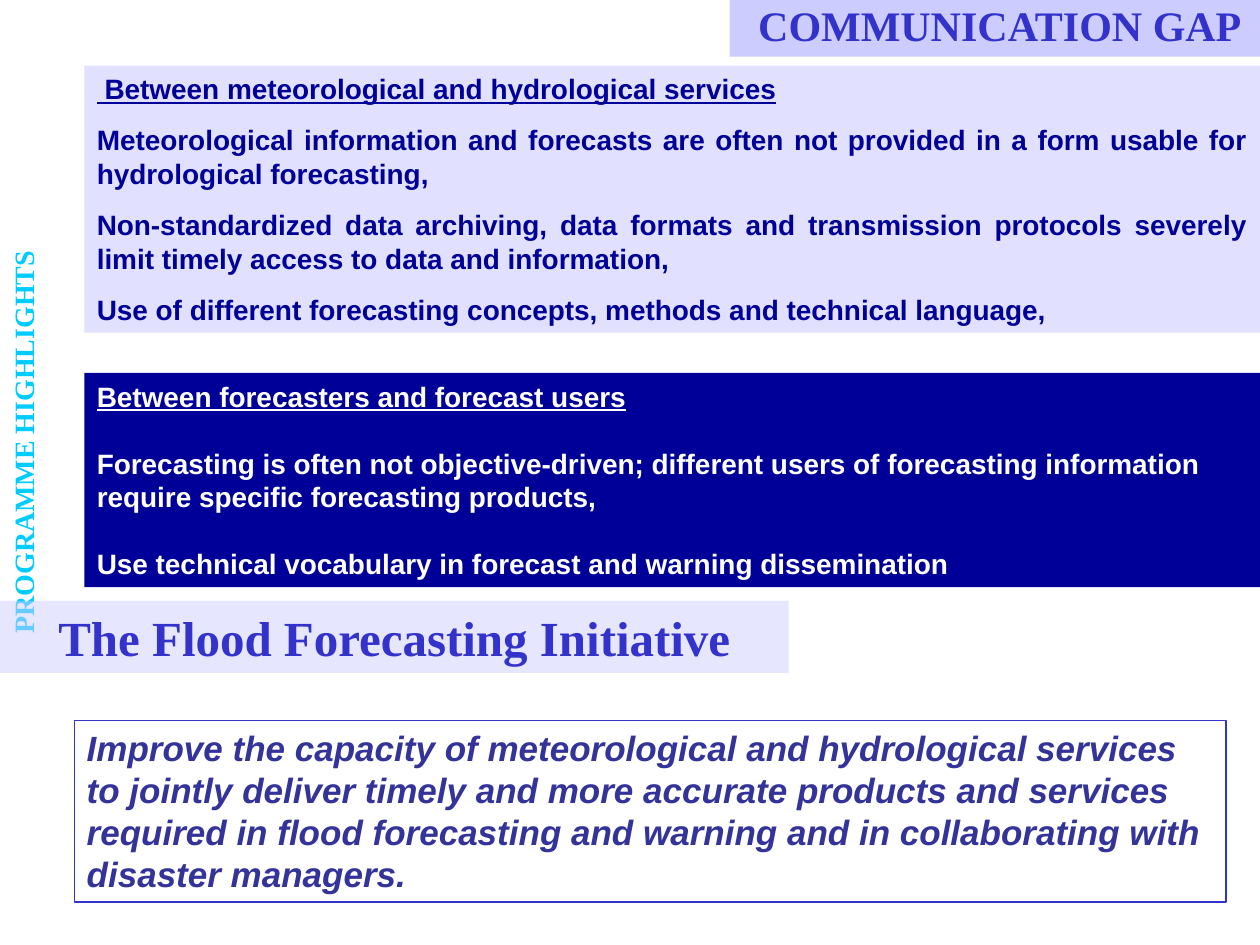
from pptx import Presentation
from pptx.dml.color import RGBColor
from pptx.enum.shapes import MSO_SHAPE
from pptx.enum.text import MSO_ANCHOR, PP_ALIGN
from pptx.oxml.ns import qn
from pptx.util import Inches, Pt
from lxml import etree

RECT = MSO_SHAPE.RECTANGLE
TOP = MSO_ANCHOR.TOP
LEFT, CENTER, JUSTIFY = PP_ALIGN.LEFT, PP_ALIGN.CENTER, PP_ALIGN.JUSTIFY

LAVENDER = RGBColor(0xCC, 0xCC, 0xFF)
NAVY = RGBColor(0x00, 0x00, 0x99)
BLUE = RGBColor(0x33, 0x33, 0xCC)
INDIGO = RGBColor(0x33, 0x33, 0x99)
CYAN = RGBColor(0x00, 0xCC, 0xFF)
WHITE = RGBColor(0xFF, 0xFF, 0xFF)
SANS, SERIF = "Arial", "Times New Roman"


class Deck:
    def __init__(self, slide):
        self.s = slide

    def add_text(self, tf, paragraphs, size, color, font=SANS, align=LEFT,
                 gap=0, heading=False, italic=False):
        """Fill a text frame; a heading underlines the first paragraph."""
        for i, text in enumerate(paragraphs):
            p = tf.paragraphs[0] if i == 0 else tf.add_paragraph()
            p.alignment = align
            p.space_before = Pt(gap if i else 0)
            r = p.add_run()
            r.text = text
            r.font.name, r.font.size = font, Pt(size)
            r.font.bold, r.font.italic = True, italic
            r.font.underline = heading and i == 0
            r.font.color.rgb = color

    def panel(self, x, y, w, h, paragraphs, size, color, fill=None,
              alpha=None, line=None, **style):
        sp = self.s.shapes.add_shape(RECT, Inches(x), Inches(y), Inches(w), Inches(h))
        sp.shadow.inherit = False
        if fill is None:
            sp.fill.background()
        else:
            sp.fill.solid()
            sp.fill.fore_color.rgb = fill
        if alpha is not None:
            clr = sp.element.spPr.find(qn("a:solidFill"))[0]
            etree.SubElement(clr, qn("a:alpha"), val=str(alpha * 1000))
        if line is None:
            sp.line.fill.background()
        else:
            sp.line.color.rgb = line
            sp.line.width = Pt(0.75)
        tf = sp.text_frame
        tf.word_wrap = True
        tf.vertical_anchor = TOP
        self.add_text(tf, paragraphs, size, color, **style)

    def side_label(self, x, y, w, h, text, size, color):
        sp = self.s.shapes.add_textbox(Inches(x), Inches(y), Inches(w), Inches(h))
        tf = sp.text_frame
        tf.word_wrap = False
        tf.margin_left = tf.margin_right = Inches(0.05)
        tf.margin_top = tf.margin_bottom = Inches(0.1)
        sp.element.txBody.find(qn("a:bodyPr")).set("vert", "vert270")
        self.add_text(tf, [text], size, color, font=SERIF, align=CENTER)


def main():
    prs = Presentation()
    prs.slide_width, prs.slide_height = Inches(10), Inches(7.5)
    deck = Deck(prs.slides.add_slide(prs.slide_layouts[6]))

    # Gap between the services
    deck.panel(0.67, 0.52, 9.33, 2.12, [
        " Between meteorological and hydrological services",
        "Meteorological information and forecasts are often not provided in "
        "a form usable for hydrological forecasting, ",
        "Non-standardized data archiving, data formats and transmission "
        "protocols severely limit timely access to data and information,",
        "Use of different forecasting concepts, methods and technical language,",
    ], 16, NAVY, fill=LAVENDER, alpha=58, align=JUSTIFY, gap=10, heading=True)

    # Vertical programme label
    deck.side_label(0, 1.94, 0.46, 3.14, "PROGRAMME HIGHLIGHTS", 16, CYAN)

    # Gap between forecasters and users
    deck.panel(0.67, 2.96, 9.33, 1.7, [
        "Between forecasters and forecast users",
        "Forecasting is often not objective-driven; different users of "
        "forecasting information require specific forecasting products,",
        "Use technical vocabulary in forecast and warning dissemination",
    ], 16, WHITE, fill=NAVY, gap=19.2, heading=True)

    # Initiative and its aim
    deck.panel(0, 4.77, 6.26, 0.57, ["The Flood Forecasting Initiative"],
               28, BLUE, fill=LAVENDER, alpha=49, font=SERIF, align=CENTER)
    deck.panel(0.59, 5.72, 9.14, 1.44, [
        "Improve the capacity of meteorological and hydrological services to "
        "jointly deliver timely and more accurate products and services "
        "required in flood forecasting and warning and in collaborating with "
        "disaster managers.",
    ], 20, INDIGO, line=BLUE, italic=True)

    # Slide title
    deck.panel(5.79, -0.05, 4.29, 0.5, ["COMMUNICATION GAP"], 24, BLUE,
               fill=LAVENDER, font=SERIF, align=CENTER)

    prs.save("out.pptx")


if __name__ == "__main__":
    main()
